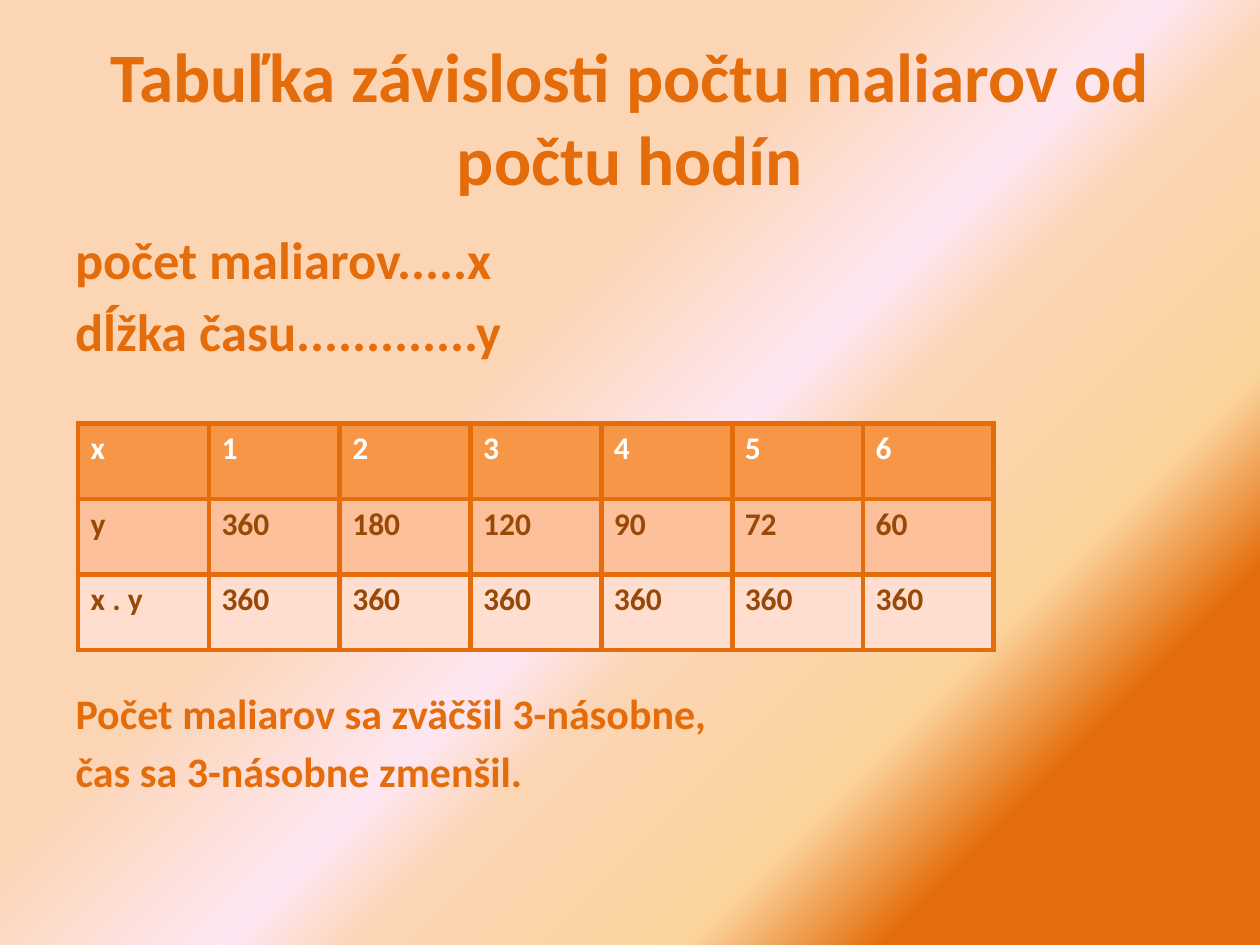
from lxml.etree import SubElement
from pptx import Presentation
from pptx.dml.color import RGBColor
from pptx.enum.text import MSO_ANCHOR, MSO_AUTO_SIZE, PP_ALIGN
from pptx.oxml.ns import qn
from pptx.util import Inches, Pt

ORANGE = RGBColor(0xE4, 0x6C, 0x0A)
BROWN = RGBColor(0x98, 0x48, 0x07)
WHITE = RGBColor(0xFF, 0xFF, 0xFF)
PEACH = RGBColor(0xFC, 0xD5, 0xB5)
PINK = RGBColor(0xFE, 0xE7, 0xF2)
SAND = RGBColor(0xFB, 0xD4, 0x9C)
HEADER_FILL = RGBColor(0xF7, 0x96, 0x46)
MIDDLE_FILL = RGBColor(0xFC, 0xC1, 0x9A)
LIGHT_FILL = RGBColor(0xFF, 0xDD, 0xCF)

BACKGROUND_STOPS = [(39, PEACH), (53, PINK), (59, PEACH), (74, SAND), (83, ORANGE), (100, ORANGE)]
BODY_LINES = [
    ("počet maliarov.....x", 30, 0),
    ("dĺžka času.............y", 30, 5),
    ("Počet maliarov sa zväčšil 3-násobne,", 24, 186),
    ("čas sa 3-násobne zmenšil.", 24, 4.5),
]
PAINTERS = range(1, 7)
TOTAL_WORK = 360
TABLE_ROWS = [
    (["x", *PAINTERS], HEADER_FILL, WHITE),
    (["y", *(TOTAL_WORK // count for count in PAINTERS)], MIDDLE_FILL, BROWN),
    (["x . y", *(TOTAL_WORK for count in PAINTERS)], LIGHT_FILL, BROWN),
]


class SlideBuilder:
    columns, rows = 100, 75
    font_format = {"name": "Calibri", "bold": True}

    def __init__(self, presentation):
        self.width = presentation.slide_width
        self.height = presentation.slide_height
        self.slide = presentation.slides.add_slide(presentation.slide_layouts[1])

    def box(self, left, top, width, height):
        column, row = self.width / self.columns, self.height / self.rows
        return {"left": int(left * column), "top": int(top * row),
                "width": int(width * column), "height": int(height * row)}

    def apply(self, target, values):
        for name, value in values.items():
            setattr(target, name, value)

    def fill_text(self, paragraph, text, size, color):
        paragraph.text = text
        self.apply(paragraph.font, {**self.font_format, "size": Pt(size)})
        paragraph.font.color.rgb = color

    def background(self, stops):
        fill = self.slide.background.fill
        fill.gradient()
        fill.gradient_angle = 315
        stop_list = next(self.slide.element.iter(qn("a:gsLst")))
        for stop in list(stop_list):
            stop_list.remove(stop)
        for position, color in stops:
            stop = SubElement(stop_list, qn("a:gs"), pos=str(position * 1000))
            SubElement(stop, qn("a:srgbClr"), val=str(color))

    def title(self, text, grid_box):
        shape = self.slide.shapes.title
        self.apply(shape, self.box(*grid_box))
        self.apply(shape.text_frame, {"auto_size": MSO_AUTO_SIZE.NONE,
                                      "vertical_anchor": MSO_ANCHOR.MIDDLE})
        paragraph = shape.text_frame.paragraphs[0]
        paragraph.alignment = PP_ALIGN.CENTER
        self.fill_text(paragraph, text, 39.6, ORANGE)

    def body(self, lines, grid_box):
        shape = self.slide.placeholders[1]
        self.apply(shape, self.box(*grid_box))
        frame = shape.text_frame
        frame.auto_size = MSO_AUTO_SIZE.NONE
        for index, (text, size, space) in enumerate(lines):
            paragraph = frame.add_paragraph() if index else frame.paragraphs[0]
            paragraph.space_before = Pt(space)
            properties = paragraph._p.get_or_add_pPr()
            properties.set("marL", "0")
            properties.set("indent", "0")
            SubElement(properties, qn("a:buNone"))
            self.fill_text(paragraph, text, size, ORANGE)

    def border(self, cell):
        properties = cell._tc.get_or_add_tcPr()
        for index, side in enumerate(("a:lnL", "a:lnR", "a:lnT", "a:lnB")):
            line = properties.makeelement(qn(side), {"w": str(Pt(3))})
            fill = SubElement(line, qn("a:solidFill"))
            SubElement(fill, qn("a:srgbClr"), val=str(ORANGE))
            properties.insert(index, line)

    def table(self, rows, grid_box):
        table = self.slide.shapes.add_table(
            len(rows), len(rows[0][0]), **self.box(*grid_box)).table
        for row, (values, fill, color) in zip(table.rows, rows):
            for cell, value in zip(row.cells, values):
                cell.fill.solid()
                cell.fill.fore_color.rgb = fill
                self.border(cell)
                self.fill_text(cell.text_frame.paragraphs[0], str(value), 18, color)


def main():
    presentation = Presentation()
    presentation.slide_width = Inches(10)
    presentation.slide_height = Inches(7.5)
    builder = SlideBuilder(presentation)
    builder.background(BACKGROUND_STOPS)
    builder.title("Tabuľka závislosti počtu maliarov od počtu hodín", (5, 3, 90, 12.5))
    builder.body(BODY_LINES, (5, 17.5, 90, 49.5))
    builder.table(TABLE_ROWS, (6.2, 33.6, 72.7, 18))
    presentation.save("out.pptx")


if __name__ == "__main__":
    main()
